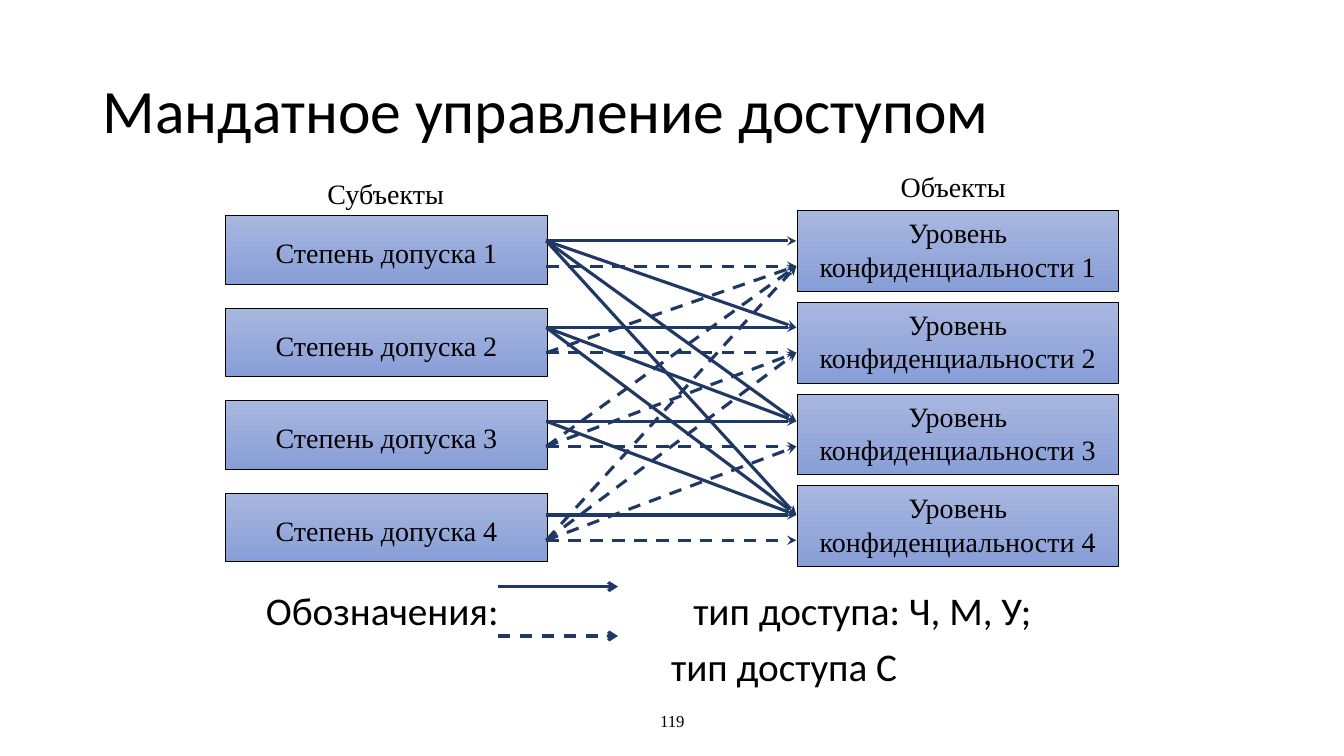
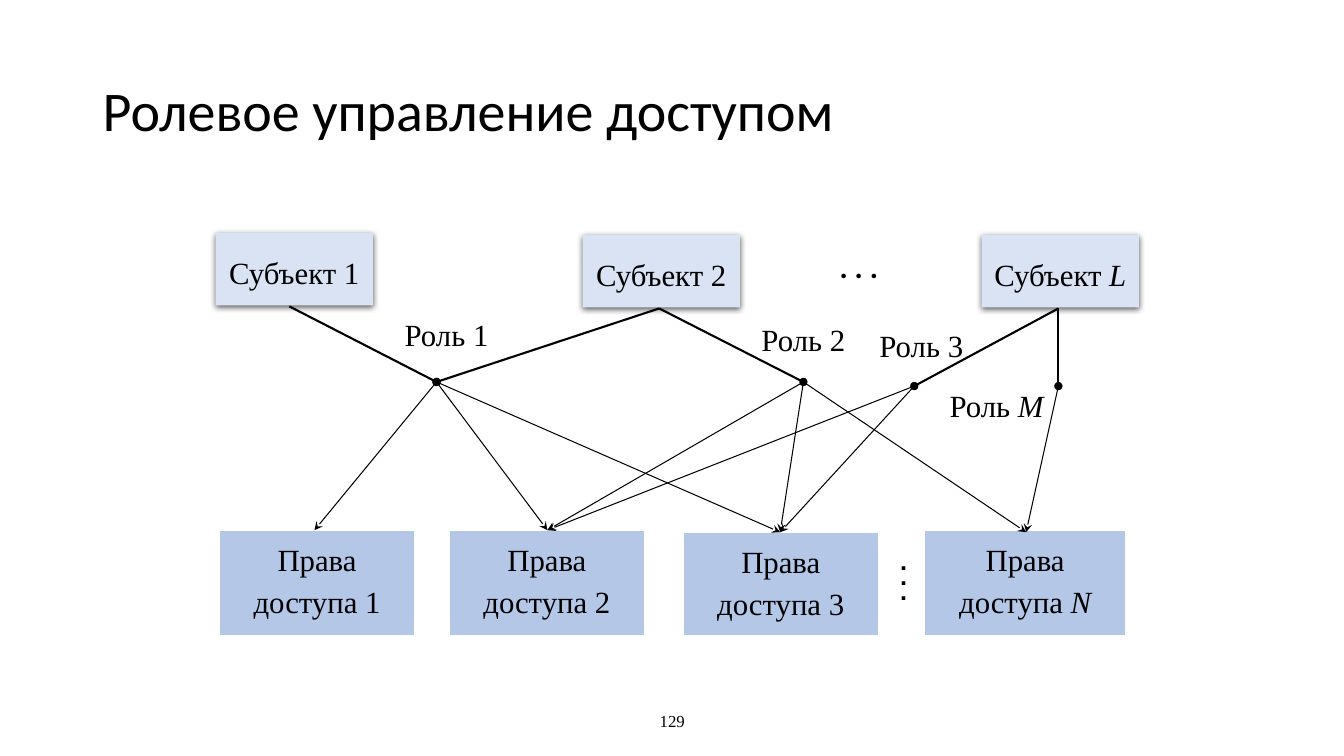
from pptx import Presentation
from pptx.dml.color import RGBColor
from pptx.enum.dml import MSO_LINE
from pptx.enum.shapes import MSO_CONNECTOR, MSO_SHAPE
from pptx.enum.text import MSO_ANCHOR, PP_ALIGN
from pptx.oxml import parse_xml
from pptx.oxml.ns import nsdecls
from pptx.util import Inches, Pt

W, H = Inches(13.333), Inches(7.5)
BLACK, WHITE, NAVY = "000000", "FFFFFF", "203864"
GRADIENT = ("A8B7DF", "889ED7")
PALE, MID = "DAE3F3", "B4C7E7"
SERIF, SANS = "Times New Roman", "Calibri"

# Text formats
HEADER = {"size": 20, "line_spacing": 1.15}
LEVEL = {"size": 20}
NODE = {"size": 22, "line_spacing": 1.15, "space_after": Pt(10)}
LEGEND = {"size": 28, "font": SANS, "line_spacing": 0.9, "alignment": PP_ALIGN.LEFT}
DOTS = {"size": 18, "font": "Arial", "bold": True, "line_spacing": 0.5,
        "alignment": PP_ALIGN.LEFT}


def rgb(color):
    return RGBColor.from_string(color)


def place(x, y):
    """Turn percentages of the slide's width and height into lengths."""
    return round(W * x / 100), round(H * y / 100)


def write(shape, text, size, font=SERIF, bold=None, italic_tail="",
          anchor=MSO_ANCHOR.TOP, inset=0.05, **paragraph_format):
    tf = shape.text_frame
    tf.word_wrap = True
    tf.vertical_anchor = anchor
    tf.margin_top = tf.margin_bottom = Inches(inset)
    for i, line in enumerate(text.split("\n")):
        p = tf.paragraphs[0] if i == 0 else tf.add_paragraph()
        for name, value in ({"alignment": PP_ALIGN.CENTER} | paragraph_format).items():
            setattr(p, name, value)
        for part, italic in ((line, None), (italic_tail, True)):
            if part:
                r = p.add_run()
                r.text = part
                r.font.color.rgb = rgb(BLACK)
                values = {"size": Pt(size), "name": font, "bold": bold, "italic": italic}
                for name, value in values.items():
                    setattr(r.font, name, value)


def label(s, at, text, **fmt):
    write(s.shapes.add_textbox(*place(*at[:2]), *place(*at[2:])), text, **fmt)


def box(s, at, text, fill=None, line=None, line_width=0.5,
        kind=MSO_SHAPE.RECTANGLE, **fmt):
    sp = s.shapes.add_shape(kind, *place(*at[:2]), *place(*at[2:]))
    sp.shadow.inherit = False
    if isinstance(fill, tuple):
        sp.fill.gradient()
        sp.fill.gradient_angle = 270
        for stop, color in zip(sp.fill.gradient_stops, fill):
            stop.color.rgb = rgb(color)
    elif fill:
        sp.fill.solid()
        sp.fill.fore_color.rgb = rgb(fill)
    else:
        sp.fill.background()
    if line:
        sp.line.color.rgb = rgb(line)
        sp.line.width = Pt(line_width)
    else:
        sp.line.fill.background()
    write(sp, text, **fmt)
    return sp


def drop_shadow(sp):
    effects = sp._element.spPr.find("{*}effectLst")
    effects.append(parse_xml(
        f'<a:outerShdw {nsdecls("a")} blurRad="57150" dist="19050" dir="5400000" '
        'algn="ctr" rotWithShape="0"><a:srgbClr val="000000">'
        '<a:alpha val="63000"/></a:srgbClr></a:outerShdw>'))


def link(s, start, end, color, width, head, dashed=False):
    c = s.shapes.add_connector(MSO_CONNECTOR.STRAIGHT, *place(*start), *place(*end))
    c.line.color.rgb = rgb(color)
    c.line.width = Pt(width)
    if dashed:
        c.line.dash_style = MSO_LINE.DASH
    c.line._get_or_add_ln().append(
        parse_xml(f'<a:tailEnd {nsdecls("a")} type="{head}"/>'))
    c._element.spPr.append(parse_xml(f'<a:effectLst {nsdecls("a")}/>'))


def new_slide(prs, title, title_size, number):
    s = prs.slides.add_slide(prs.slide_layouts[6])
    label(s, (6.9, 5.33, 86.25, 19.33), title, size=title_size, font=SANS,
          anchor=MSO_ANCHOR.MIDDLE, line_spacing=0.9, alignment=PP_ALIGN.LEFT)
    label(s, (33.15, 92.67, 33.75, 5.33), number, size=12, anchor=MSO_ANCHOR.MIDDLE)
    return s


def mandatory_access(prs):
    s = new_slide(prs, "Мандатное управление доступом", 44, "119")

    # Two columns of four boxes
    label(s, (18.75, 22.53, 19.88, 4.93), "Субъекты", inset=0.01, **HEADER)
    label(s, (60.98, 21.6, 19.88, 4.93), "Объекты", inset=0.01, **HEADER)
    for i in range(4):
        box(s, (16.8, 28.53 + 12.24 * i, 23.92, 9.07), f"Степень допуска {i + 1}",
            GRADIENT, BLACK, anchor=MSO_ANCHOR.MIDDLE, **HEADER)
        box(s, (59.3, 27.87 + 12.13 * i, 23.92, 10.67),
            f"Уровень конфиденциальности {i + 1}", GRADIENT, BLACK, **LEVEL)

    # Solid arrows lead to the same or lower rows, dashed to the same or higher
    left, right, dash_gap = 40.65, 59.25, 3.33
    rows = (31.87, 43.33, 55.73, 68.13)
    for i, start in enumerate(rows):
        for end in rows[i:]:
            link(s, (left, start), (right, end), NAVY, 2.25, "stealth")
        for end in rows[:i + 1]:
            link(s, (left, start + dash_gap), (right, end + dash_gap),
                 NAVY, 2.25, "stealth", dashed=True)

    # Legend
    label(s, (19.05, 77.6, 20, 7), "Обозначения:", **LEGEND)
    label(s, (50.85, 77.6, 32, 7), "тип доступа: Ч, М, У;", **LEGEND)
    label(s, (49.2, 85.07, 32, 7), "тип доступа С", **LEGEND)
    for y, dashed in ((77.6, False), (84.13, True)):
        link(s, (37.05, y), (45.98, y), NAVY, 2.25, "arrow", dashed)


def role_access(prs):
    s = new_slide(prs, "Ролевое управление доступом", 40, "129")

    # Subjects
    for x, y, text, letter in ((16.05, 30.8, "Субъект 1", ""),
                               (43.35, 31.07, "Субъект 2", ""),
                               (73.05, 31.07, "Субъект ", "L")):
        drop_shadow(box(s, (x, y, 11.7, 9.6), text, PALE, italic_tail=letter,
                        anchor=MSO_ANCHOR.MIDDLE, **NODE))

    # Access rights share one bottom edge
    bottom = 84.13
    for x, y, w, text, letter in ((16.28, 70.13, 14.62, "Права доступа 1", ""),
                                  (33.38, 70.13, 14.62, "Права доступа 2", ""),
                                  (50.78, 70.4, 14.62, "Права доступа 3", ""),
                                  (68.78, 70.13, 15, "Права доступа ", "N")):
        box(s, (x, y, w, bottom - y), text, MID, WHITE, 1.5,
            italic_tail=letter, **NODE)

    # Subject to role, role to rights
    subjects = {"1": (21.53, 40.53), "2": (49.05, 40.8), "L": (78.75, 40.8)}
    roles = {"1": (32.48, 50.53), "2": (59.78, 50.53),
             "3": (68.03, 51.07), "M": (78.75, 51.07)}
    rights = {"1": (23.4, 70.13), "2": (40.73, 70.13),
              "3": (58.05, 70.4), "N": (76.35, 70.4)}
    for subject, targets in {"1": "1", "2": "12", "L": "3M"}.items():
        for role in targets:
            link(s, subjects[subject], roles[role], BLACK, 1.5, "oval")
    for role, targets in {"1": "123", "2": "23N", "3": "23", "M": "N"}.items():
        for right in targets:
            link(s, roles[role], rights[right], BLACK, 0.75, "stealth")

    # Role names and ellipses
    for x, y, w, text, letter in ((28.95, 40, 8.55, "Роль 1", ""),
                                  (55.5, 40.67, 8.55, "Роль 2", ""),
                                  (64.05, 41.47, 9, "Роль 3", ""),
                                  (69.23, 49.33, 9.83, "Роль ", "M")):
        box(s, (x, y, w, 8), text, kind=MSO_SHAPE.ROUNDED_RECTANGLE,
            italic_tail=letter, **NODE)
    box(s, (59.63, 31.07, 8.55, 7.2), ". . .", kind=MSO_SHAPE.ROUNDED_RECTANGLE,
        font=SANS, bold=True, **NODE)
    label(s, (66.23, 73.2, 2.1, 7.73), ".\n.\n.", **DOTS)


def main():
    prs = Presentation()
    prs.slide_width, prs.slide_height = W, H
    mandatory_access(prs)
    role_access(prs)
    prs.save("out.pptx")


if __name__ == "__main__":
    main()
